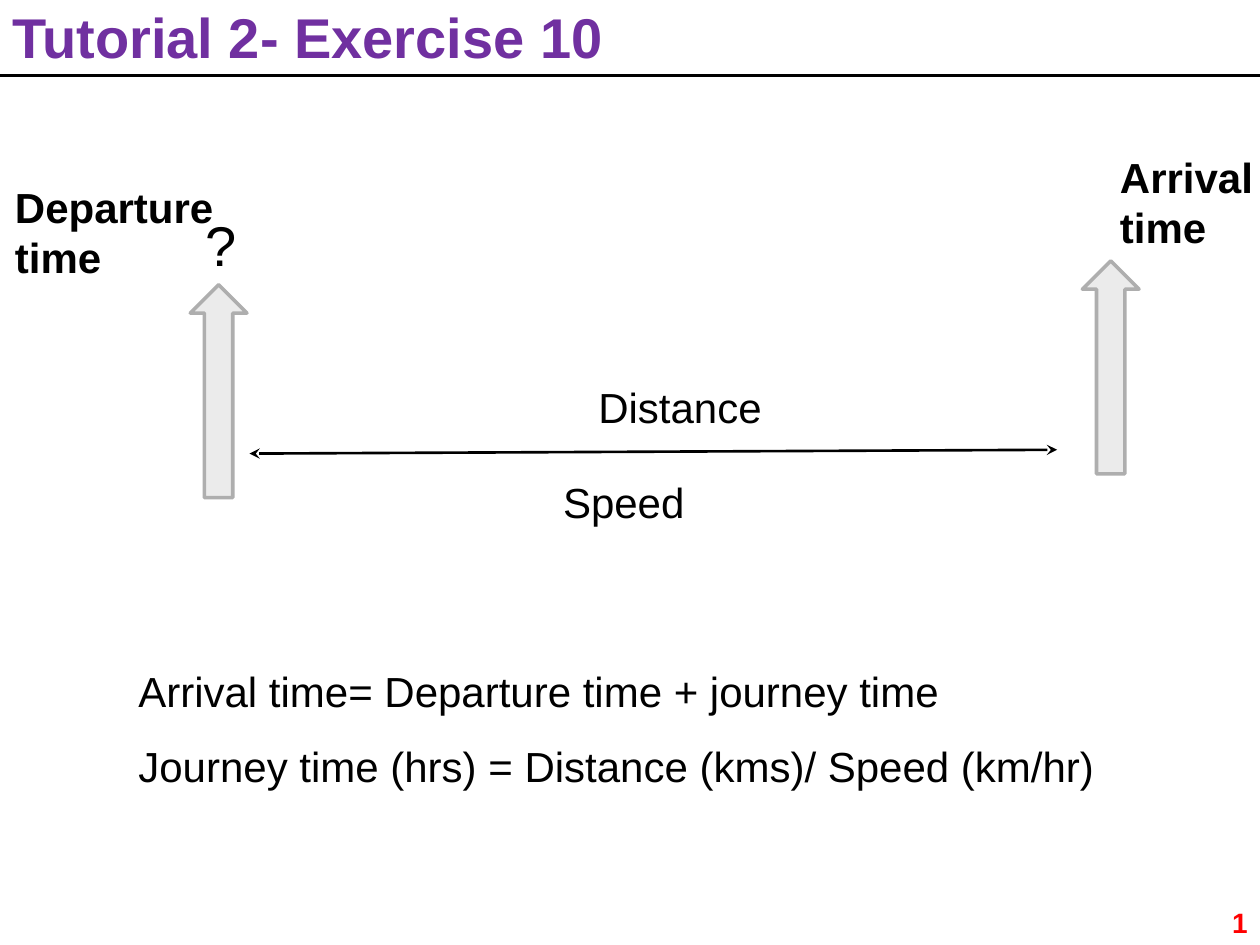
from lxml.etree import SubElement
from pptx import Presentation
from pptx.dml.color import RGBColor
from pptx.enum.shapes import MSO_CONNECTOR, MSO_SHAPE
from pptx.enum.text import MSO_ANCHOR, PP_ALIGN
from pptx.oxml.ns import qn
from pptx.util import Inches, Pt

WIDTH, HEIGHT = 10, 7.5
TITLE_HEIGHT = 0.6
BLACK, PURPLE, RED = "000000", "7030A0", "FF0000"

# Content: lines of text, (left, top, width, height), font and paragraph options
LABELS = [
    (["Tutorial 2- Exercise 10"], (0, 0, WIDTH, TITLE_HEIGHT),
     dict(size=32, color=PURPLE, bold=True, anchor=MSO_ANCHOR.BOTTOM)),
    (["1"], (9.41, 7.14, 0.59, 0.36),
     dict(size=16, color=RED, bold=True, align=PP_ALIGN.RIGHT)),
    (["?"], (1.53, 1.62, 0.41, 0.64), dict(size=32)),
    (["Departure", "time"], (0.02, 1.39, 2.08, 0.91), dict(bold=True)),
    (["Arrival", "time"], (8.79, 1.15, 1.49, 0.91), dict(bold=True)),
    (["Distance"], (4.65, 2.98, 1.69, 0.5), {}),
    (["Speed"], (4.37, 3.73, 1.39, 0.5), {}),
    (["Arrival time= Departure time + journey time",
      "Journey time (hrs) = Distance (kms)/ Speed (km/hr)"],
     (1, 5.03, 8, 1.24), dict(spacing=1.5)),
]
TIME_ARROWS = [(8.59, 2.07), (1.51, 2.26)]  # arrival, departure
ARROW_SIZE = (0.45, 1.69)


def rgb(color):
    return RGBColor.from_string(color)


def inches(lengths):
    return [Inches(length) for length in lengths]


def add_label(slide, lines, place, size=24, color=BLACK, bold=False,
              align=PP_ALIGN.LEFT, anchor=MSO_ANCHOR.TOP, spacing=1.0):
    frame = slide.shapes.add_textbox(*inches(place)).text_frame
    frame.word_wrap = True
    frame.vertical_anchor = anchor
    frame.text = "\n".join(lines)
    for paragraph in frame.paragraphs:
        paragraph.alignment = align
        paragraph.line_spacing = spacing
        font = paragraph.font
        font.name, font.size, font.bold = "Arial", Pt(size), bold
        font.color.rgb = rgb(color)


def add_line(slide, start, end, heads=False):
    line = slide.shapes.add_connector(MSO_CONNECTOR.STRAIGHT, *inches(start + end))
    line.line.width = Pt(1.5)
    line.line.color.rgb = rgb(BLACK)
    properties = line._element.spPr
    if heads:
        outline = properties.find(qn("a:ln"))
        for tag in ("a:headEnd", "a:tailEnd"):
            SubElement(outline, qn(tag), type="stealth")
    SubElement(properties, qn("a:effectLst"))


def add_time_arrow(slide, corner):
    arrow = slide.shapes.add_shape(MSO_SHAPE.UP_ARROW, *inches(corner + ARROW_SIZE))
    arrow.shadow.inherit = False
    arrow.fill.solid()
    arrow.fill.fore_color.rgb = rgb("EBEBEB")
    arrow.line.color.rgb = rgb("AEAEAE")
    arrow.line.width = Pt(2)


def main():
    presentation = Presentation()
    presentation.slide_width, presentation.slide_height = inches((WIDTH, HEIGHT))
    slide = presentation.slides.add_slide(presentation.slide_layouts[6])

    # Rule under the title
    add_line(slide, (0, TITLE_HEIGHT), (WIDTH, TITLE_HEIGHT))

    # Journey diagram
    for corner in TIME_ARROWS:
        add_time_arrow(slide, corner)
    add_line(slide, (1.98, 3.6), (8.39, 3.57), heads=True)

    # Title, page number, diagram labels and formulas
    for lines, place, style in LABELS:
        add_label(slide, lines, place, **style)

    presentation.save("out.pptx")


if __name__ == "__main__":
    main()
